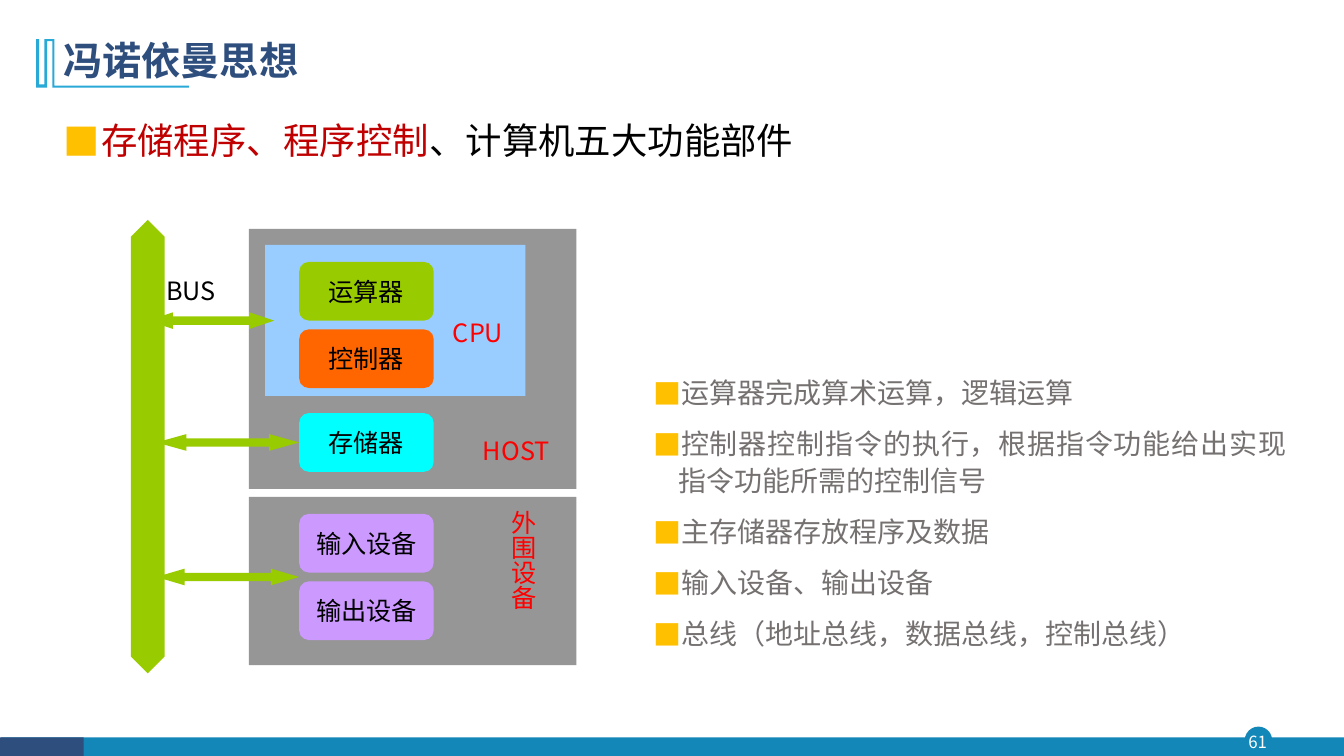
"""Build the slide on the von Neumann idea: bus, host and peripheral units."""
from dataclasses import dataclass

from lxml.etree import SubElement
from pptx import Presentation
from pptx.dml.color import RGBColor as Rgb
from pptx.enum.shapes import MSO_SHAPE as Kind
from pptx.enum.text import MSO_ANCHOR as Anchor, PP_ALIGN as Align
from pptx.oxml.ns import qn
from pptx.util import Cm, Pt


@dataclass(frozen=True)
class Theme:
    font: str = "Noto Sans CJK SC"
    navy: str = "2E4E7E"
    blue: str = "1387B7"
    sky: str = "28A9D6"
    gold: str = "FFC000"
    wine: str = "C00000"
    red: str = "FF0000"
    black: str = "000000"
    white: str = "FFFFFF"
    slate: str = "767171"
    gray: str = "969696"
    pale: str = "99CCFF"
    lime: str = "99CC00"
    orange: str = "FF6600"
    cyan: str = "00FFFF"
    violet: str = "CC99FF"
    title: int = 28
    lead: int = 26
    body: int = 20
    label: int = 18
    page: int = 12


theme = Theme()
deck = Presentation()
deck.slide_width, deck.slide_height = Cm(33.87), Cm(19.05)
slide = deck.slides.add_slide(deck.slide_layouts[6])
shapes = slide.shapes


def draw(kind, place, fill):
    """Add a plain filled shape, or a text box when there is no kind."""
    place = [Cm(n) for n in place]
    if kind is None:
        shape = shapes.add_textbox(*place)
    else:
        shape = shapes.add_shape(kind, *place)
        shape.shadow.inherit = False
        shape.fill.solid()
        shape.fill.fore_color.rgb = Rgb.from_string(fill)
        shape.line.fill.background()
    shape.text_frame.word_wrap = True
    return shape


def style(par, size, color, align=Align.LEFT, bold=False):
    """Format every run of a paragraph."""
    par.alignment = align
    for run in par.runs:
        run.font.size = Pt(size)
        run.font.bold = bold
        run.font.color.rgb = Rgb.from_string(color)
        run.font.name = theme.font
        SubElement(run.font._element, qn("a:ea")).set("typeface", theme.font)


draw(Kind.OVAL, (31.37, 18.31, 0.69, 0.69), theme.blue)
draw(Kind.RECTANGLE, (0.03, 18.58, 33.84, 0.47), theme.blue)
draw(Kind.RECTANGLE, (0, 18.58, 2.11, 0.47), theme.navy)
frame = draw(None, (31.29, 18.31, 0.81, 0.79), None).text_frame
frame.margin_left = frame.margin_right = frame.margin_top = frame.margin_bottom = 0
frame.vertical_anchor = Anchor.MIDDLE
frame.text = "61"
style(frame.paragraphs[0], theme.page, theme.white, Align.CENTER)

points = [(1.37, 0.99), (1.37, 2.16), (4.76, 2.16), (4.76, 2.21), (1.32, 2.21),
          (1.32, 1.04), (1.19, 1.04), (1.19, 2.21), (0.91, 2.21), (0.91, 0.99),
          (0.99, 0.99), (0.99, 2.13), (1.12, 2.13), (1.12, 0.99)]
points = [(Cm(x), Cm(y)) for x, y in points]
path = shapes.build_freeform(*points[0])
path.add_line_segments(points[1:], close=True)
mark = path.convert_to_shape()
mark.shadow.inherit = False
mark.fill.solid()
mark.fill.fore_color.rgb = Rgb.from_string(theme.sky)
mark.line.fill.background()

frame = draw(None, (1.35, 0.71, 29.21, 1.73), None).text_frame
frame.vertical_anchor = Anchor.MIDDLE
frame.text = "冯诺依曼思想"
frame.paragraphs[0].line_spacing = 0.9
style(frame.paragraphs[0], theme.title, theme.navy, bold=True)

lead = [[("存储程序、程序控制", theme.wine), ("、计算机五大功能部件", theme.black)]]
notes = [[(text, theme.slate)] for text in (
    "运算器完成算术运算，逻辑运算",
    "控制器控制指令的执行，根据指令功能给出实现指令功能所需的控制信号",
    "主存储器存放程序及数据",
    "输入设备、输出设备",
    "总线（地址总线，数据总线，控制总线）")]
lists = [
    (lead, (1.35, 2.62, 29.21, 15.65), 0.95, theme.lead, Align.LEFT, 1.2, 1.2),
    (notes, (16.21, 8.92, 16.46, 9.58), 0.64, theme.body, Align.JUSTIFY, 1.5, 1.1),
]
for items, place, indent, size, align, first, rest in lists:
    frame = draw(None, place, None).text_frame
    for i, item in enumerate(items):
        par = frame.add_paragraph() if i else frame.paragraphs[0]
        par.line_spacing = rest if i else first
        par.space_before = Pt(10 if i else 0)
        props = par._p.get_or_add_pPr()
        props.set("marL", str(Cm(indent)))
        props.set("indent", str(-Cm(indent)))
        tint = SubElement(props, qn("a:buClr"))
        SubElement(tint, qn("a:srgbClr")).set("val", theme.gold)
        SubElement(props, qn("a:buFont")).set("typeface", theme.font)
        SubElement(props, qn("a:buChar")).set("char", "■")
        for text, color in item:
            run = par.add_run()
            run.text = text
        style(par, size, color, align)
        for run, (text, color) in zip(par.runs, item):
            run.font.color.rgb = Rgb.from_string(color)

draw(Kind.RECTANGLE, (6.27, 12.52, 8.26, 4.24), theme.gray)
draw(Kind.RECTANGLE, (6.27, 5.77, 8.26, 6.55), theme.gray)
draw(Kind.RECTANGLE, (6.68, 6.17, 6.56, 3.81), theme.pale)

units = [("运算器", 6.6, theme.lime), ("控制器", 8.3, theme.orange),
         ("存储器", 10.41, theme.cyan), ("输入设备", 12.95, theme.violet),
         ("输出设备", 14.65, theme.violet)]
for text, top, fill in units:
    unit = draw(Kind.ROUNDED_RECTANGLE, (7.54, top, 3.39, 1.48), fill)
    frame = unit.text_frame
    frame.word_wrap = False
    frame.vertical_anchor = Anchor.MIDDLE
    frame.text = text
    style(frame.paragraphs[0], theme.label, theme.black, Align.CENTER)

arrows = [(Kind.UP_DOWN_ARROW, (3.3, 5.54, 0.85, 11.43), 0.375, 1.466),
          (Kind.LEFT_RIGHT_ARROW, (3.73, 7.87, 3.18, 0.42), 0.5, 1.5),
          (Kind.LEFT_RIGHT_ARROW, (3.94, 10.94, 3.6, 0.42), 0.5, 1.8),
          (Kind.LEFT_RIGHT_ARROW, (3.94, 14.33, 3.6, 0.42), 0.5, 1.7)]
for kind, place, shaft, head in arrows:
    arrow = draw(kind, place, theme.lime)
    arrow.adjustments[0], arrow.adjustments[1] = shaft, head

labels = [("外围设备", (12.4, 12.6, 1.3, 3.99), theme.red, Align.CENTER, "eaVert"),
          ("HOST", (11.56, 10.85, 2.54, 1.02), theme.red, Align.RIGHT, "horz"),
          ("CPU", (11.13, 7.87, 1.8, 1.02), theme.red, Align.RIGHT, "horz"),
          ("BUS", (3.94, 6.81, 2.11, 1.02), theme.black, Align.LEFT, "horz")]
for text, place, color, align, turn in labels:
    frame = draw(None, place, None).text_frame
    frame._txBody.bodyPr.set("vert", turn)
    frame.text = text
    style(frame.paragraphs[0], theme.label, color, align)

deck.save("out.pptx")
